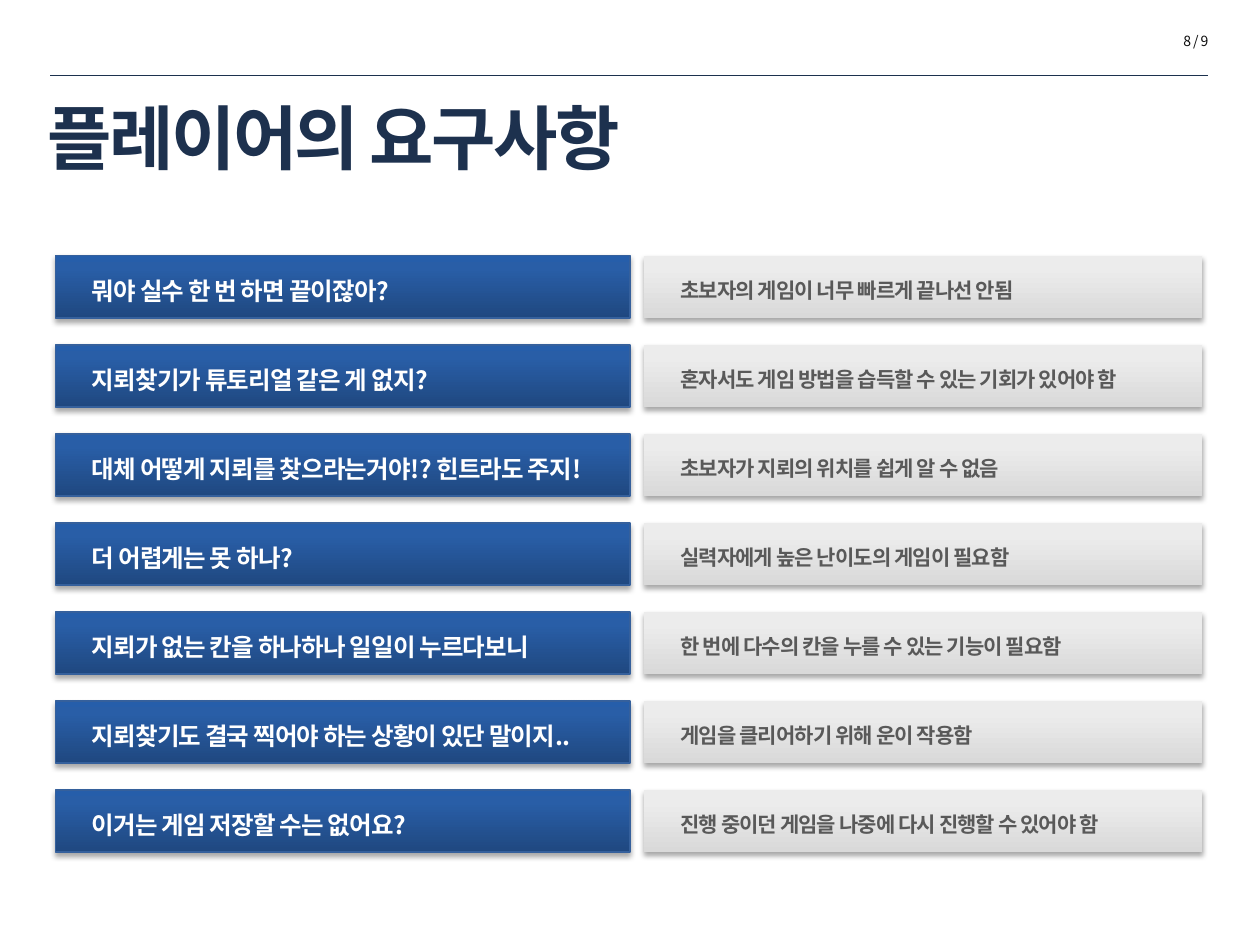
from lxml import etree
from pptx import Presentation
from pptx.dml.color import RGBColor
from pptx.enum.shapes import MSO_CONNECTOR, MSO_SHAPE
from pptx.enum.text import MSO_ANCHOR, MSO_AUTO_SIZE, PP_ALIGN
from pptx.oxml.ns import qn
from pptx.util import Pt

RECTANGLE = MSO_SHAPE.RECTANGLE
STRAIGHT = MSO_CONNECTOR.STRAIGHT
TOP, MIDDLE = MSO_ANCHOR.TOP, MSO_ANCHOR.MIDDLE
LEFT, RIGHT = PP_ALIGN.LEFT, PP_ALIGN.RIGHT
GROW = MSO_AUTO_SIZE.SHAPE_TO_FIT_TEXT

FONT = "Noto Sans CJK KR"
COLORS = {
    "rule": "1C314E",
    "title": "1D314E",
    "page_number": "0D0D0D",
    "quote_edge": "35609C",
    "quote_text": "FFFFFF",
    "need_text": "595959",
    "shadow": "000000",
}
QUOTE = {
    "stops": [(0, "1F4880"), (80, "295EA7"), (100, "265EAA")],
    "edge": "quote_edge",
    "frame": {"vertical_anchor": TOP, "margin_left": 0, "margin_top": Pt(2.9),
              "margin_right": Pt(7.2), "margin_bottom": 0},
    "text": {"size": 14, "color": "quote_text", "spacing": -0.5},
}
NEED = {
    "stops": [(0, "D9D9D9"), (80, "ECECEC")],
    "edge": None,
    "frame": {"vertical_anchor": MIDDLE, "margin_left": 0, "margin_top": 0,
              "margin_right": Pt(7.2), "margin_bottom": Pt(3.6)},
    "text": {"size": 12, "color": "need_text", "spacing": -0.5},
}
ROWS = [
    ("뭐야 실수 한 번 하면 끝이잖아?", "초보자의 게임이 너무 빠르게 끝나선 안됨"),
    ("지뢰찾기가 튜토리얼 같은 게 없지?", "혼자서도 게임 방법을 습득할 수 있는 기회가 있어야 함"),
    ("대체 어떻게 지뢰를 찾으라는거야!? 힌트라도 주지!", "초보자가 지뢰의 위치를 쉽게 알 수 없음"),
    ("더 어렵게는 못 하나?", "실력자에게 높은 난이도의 게임이 필요함"),
    ("지뢰가 없는 칸을 하나하나 일일이 누르다보니", "한 번에 다수의 칸을 누를 수 있는 기능이 필요함"),
    ("지뢰찾기도 결국 찍어야 하는 상황이 있단 말이지..", "게임을 클리어하기 위해 운이 작용함"),
    ("이거는 게임 저장할 수는 없어요?", "진행 중이던 게임을 나중에 다시 진행할 수 있어야 함"),
]


def rgb(name):
    return RGBColor.from_string(COLORS[name])


def set_attributes(target, values):
    for name, value in values.items():
        setattr(target, name, value)


def write_text(frame, text, size, color, spacing, bold=True, align=LEFT):
    """Put one formatted run in the frame and return its paragraph."""
    para = frame.paragraphs[0]
    para.alignment = align
    span = para.add_run()
    span.text = text
    set_attributes(span.font, {"size": Pt(size), "bold": bold, "name": FONT})
    span.font.color.rgb = rgb(color)
    properties = span.font._element
    properties.set("spc", str(round(spacing * 100)))
    etree.SubElement(properties, qn("a:ea"), typeface=FONT)
    return para


def fill_gradient(shape, stops):
    """Fill from bottom to top with any number of colour stops."""
    shape.fill.gradient()
    shape.fill.gradient_angle = 90
    stop_list = shape._element.spPr.find(".//" + qn("a:gsLst"))
    for stop in list(stop_list):
        stop_list.remove(stop)
    for position, color in stops:
        stop = etree.SubElement(stop_list, qn("a:gs"), pos=str(position * 1000))
        etree.SubElement(stop, qn("a:srgbClr"), val=color)


def add_soft_shadow(shape):
    shape.shadow.inherit = False
    effects = shape._element.spPr.find(qn("a:effectLst"))
    shadow = etree.SubElement(effects, qn("a:outerShdw"), blurRad=str(Pt(3.1)),
                              dist=str(Pt(1.8)), dir="5400000", rotWithShape="0")
    color = etree.SubElement(shadow, qn("a:srgbClr"), val=COLORS["shadow"])
    etree.SubElement(color, qn("a:alpha"), val="35000")


def add_bar(page, box, text, style):
    bar = page.shapes.add_shape(RECTANGLE, *map(Pt, box))
    fill_gradient(bar, style["stops"])
    if style["edge"]:
        bar.line.color.rgb = rgb(style["edge"])
        bar.line.width = Pt(0.75)
    else:
        bar.line.fill.background()
    add_soft_shadow(bar)
    frame = bar.text_frame
    set_attributes(frame, {"word_wrap": True, **style["frame"]})
    para = write_text(frame, text, **style["text"])
    para.line_spacing = 1.5
    indent = para._p.get_or_add_pPr()
    indent.set("marL", str(Pt(20.9)))
    indent.set("indent", "0")


def add_rows(page, box):
    """Pair each player quote with the need behind it, in equal rows."""
    left, top, width, height = box
    bar_height, quote_width, gap = 35.5, 328.3, 7.9
    pitch = (height - bar_height) / (len(ROWS) - 1)
    need_left = left + quote_width + gap
    need_width = width - quote_width - gap
    for index, (quote, need) in enumerate(ROWS):
        row_top = top + index * pitch
        add_bar(page, (left, row_top, quote_width, bar_height), quote, QUOTE)
        add_bar(page, (need_left, row_top, need_width, bar_height), need, NEED)


def add_header(page, box):
    """Place the rule, the page number above it and the title below it."""
    left, top, width, height = box
    rule_top = top + 28.1
    rule = page.shapes.add_connector(STRAIGHT, Pt(left + 8.6), Pt(rule_top),
                                     Pt(left + 670.3), Pt(rule_top))
    rule.line.color.rgb = rgb("rule")
    rule.line.width = Pt(0.25)
    etree.SubElement(rule._element.spPr, qn("a:effectLst"))

    number = page.shapes.add_textbox(Pt(left + width - 124.6), Pt(top),
                                     Pt(124.6), Pt(17.3))
    set_attributes(number.text_frame, {"word_wrap": True, "auto_size": GROW})
    write_text(number.text_frame, "8 / 9", 8, "page_number", -0.3,
               bold=False, align=RIGHT)

    title = page.shapes.title
    set_attributes(title, {"left": Pt(left), "top": Pt(top + 26.7),
                           "width": Pt(659.5), "height": Pt(height - 26.7)})
    title.text_frame.vertical_anchor = MIDDLE
    write_text(title.text_frame, "플레이어의 요구사항", 40, "title", -1.5)


def main():
    deck = Presentation()
    deck.slide_width, deck.slide_height = Pt(720), Pt(540)
    page = deck.slides.add_slide(deck.slide_layouts[5])
    add_header(page, (20.2, 15.1, 677.5, 98.7))
    add_rows(page, (31.7, 146.2, 655.2, 340.8))
    deck.save("out.pptx")


if __name__ == "__main__":
    main()
